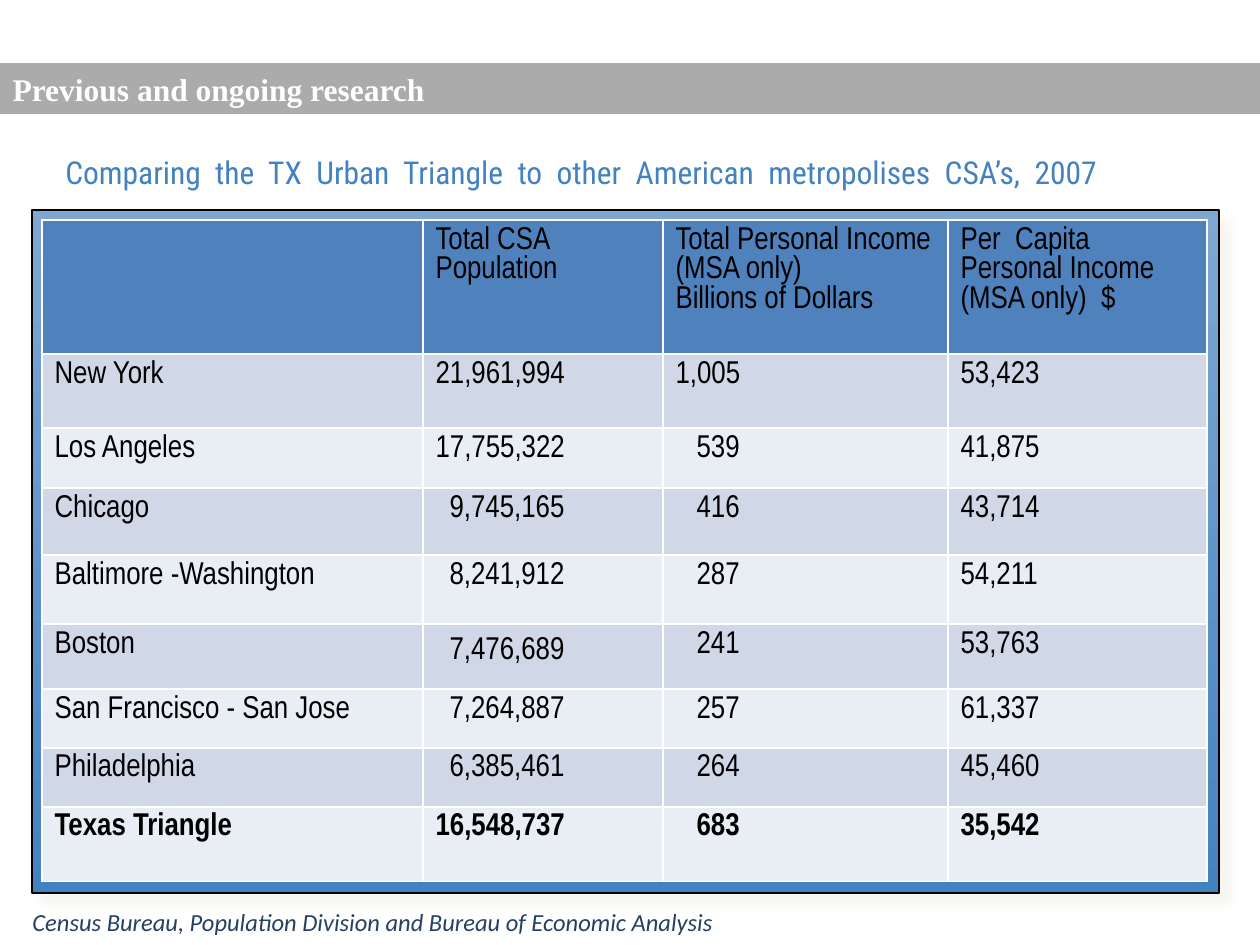
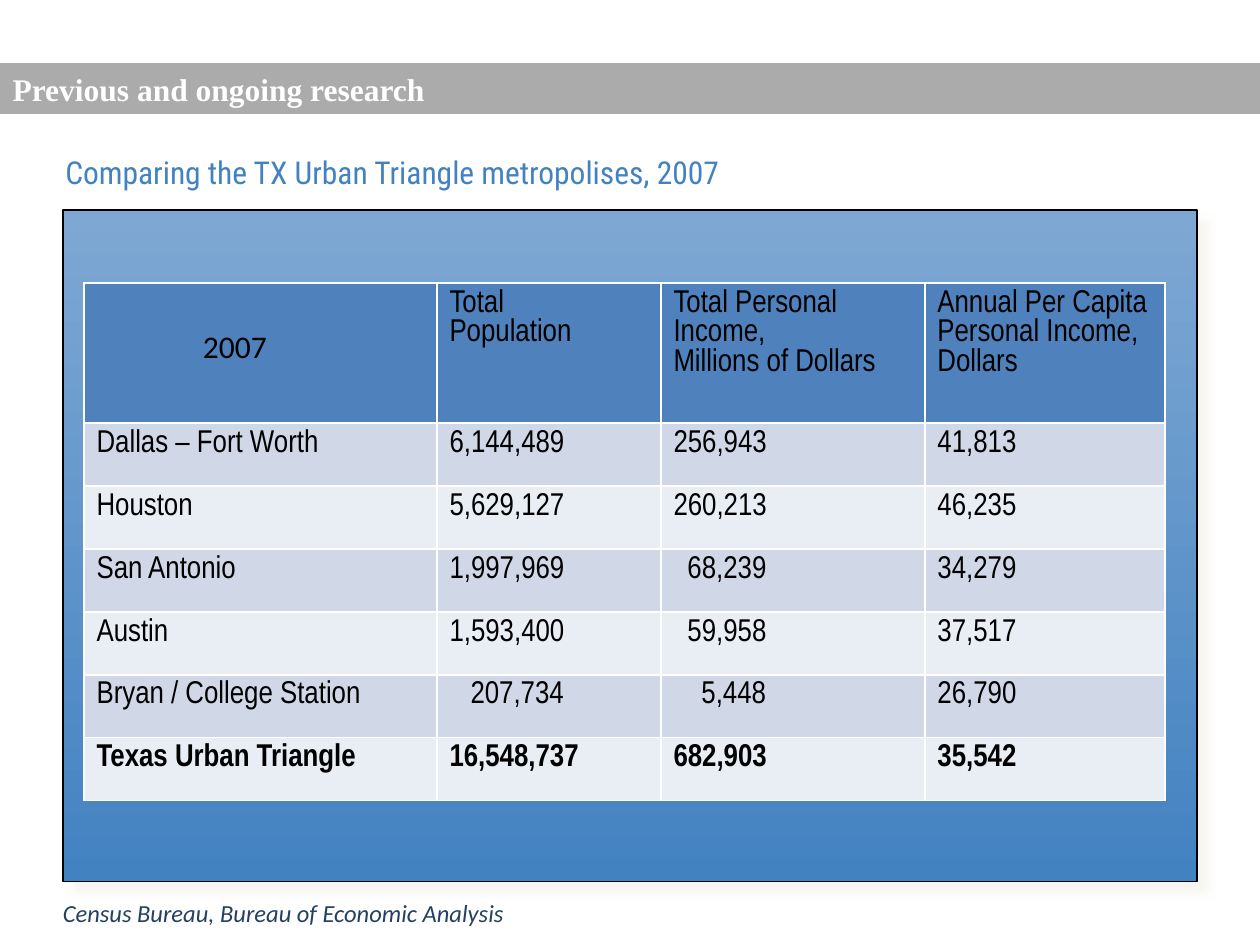
import dataclasses
import lxml.etree
import pptx
import pptx.dml.color
import pptx.enum.shapes
import pptx.enum.text
import pptx.oxml.ns
import pptx.util

EMU_PER_PX = 7257
qn = pptx.oxml.ns.qn


@dataclasses.dataclass(frozen=True)
class Theme:
    band: str = "808080"
    band_opacity: int = 66
    frame_top: str = "7EA8D3"
    accent: str = "4382C1"
    frame_shadow: str = "EEECE1"
    source: str = "254061"
    header: str = "4F81BD"
    rows: tuple = ("D0D8E8", "E9EDF4")
    light: str = "FFFFFF"
    dark: str = "000000"
    text_size: int = 18
    source_size: int = 14
    title_font: str = "Times New Roman"
    subtitle_font: str = "Roboto Condensed"
    table_font: str = "Arial Narrow"
    plain_font: str = "Calibri"


def px(length):
    return pptx.util.Emu(length * EMU_PER_PX)


def rgb(colour):
    return pptx.dml.color.RGBColor.from_string(colour)


def add_xml(parent, tag, **attributes):
    return lxml.etree.SubElement(parent, qn(tag), attributes)


def spaces_wide(number):
    return sum(1 if mark == "," else 2 for mark in number)


class SlideBuilder:
    def __init__(self, deck, theme):
        self.deck = deck
        self.theme = theme
        self.page = None

    def start(self, title):
        self.page = self.deck.slides.add_slide(self.deck.slide_layouts[5])
        band = self.page.shapes.title
        band.left, band.top, band.width, band.height = map(px, (0, 63, 1260, 51))
        band.fill.solid()
        band.fill.fore_color.rgb = rgb(self.theme.band)
        colour = band.fill._xPr.find(qn("a:solidFill"))[0]
        add_xml(colour, "a:alpha", val=str(self.theme.band_opacity * 1000))
        band.text_frame.text = title
        band.text_frame.auto_size = pptx.enum.text.MSO_AUTO_SIZE.NONE
        band.text_frame.vertical_anchor = pptx.enum.text.MSO_ANCHOR.MIDDLE
        self.format(band.text_frame, self.theme.title_font, self.theme.text_size,
                    self.theme.light, bold=True)

    def format(self, frame, font, size, colour, bold=False, italic=False, align="LEFT"):
        for para in frame.paragraphs:
            para.alignment = pptx.enum.text.PP_ALIGN[align]
            for span in para.runs:
                span.font.name = font
                span.font.size = pptx.util.Pt(size)
                span.font.bold = bold
                span.font.italic = italic
                span.font.color.rgb = rgb(colour)

    def frame(self, *bounds):
        panel = self.page.shapes.add_shape(
            pptx.enum.shapes.MSO_SHAPE.RECTANGLE, *map(px, bounds))
        panel.fill.gradient()
        panel.fill.gradient_angle = 270
        for stop, position, colour in zip(
                panel.fill.gradient_stops, (0, 1), (self.theme.frame_top, self.theme.accent)):
            stop.position = position
            stop.color.rgb = rgb(colour)
        panel.line.color.rgb = rgb(self.theme.dark)
        panel.line.width = pptx.util.Pt(0.75)
        panel.shadow.inherit = False
        effects = panel._element.spPr.find(qn("a:effectLst"))
        shadow = add_xml(effects, "a:outerShdw", blurRad=str(pptx.util.Pt(5)),
                         dist=str(pptx.util.Pt(8.5)), dir="2700000",
                         algn="tl", rotWithShape="0")
        colour = add_xml(shadow, "a:srgbClr", val=self.theme.frame_shadow)
        add_xml(colour, "a:alpha", val="50000")

    def text(self, words, bounds, *style, **options):
        box = self.page.shapes.add_textbox(*map(px, bounds))
        box.text_frame.word_wrap = True
        box.text_frame.text = words
        self.format(box.text_frame, *style, **options)

    def subtitle(self, words, width):
        self.text(words, (53, 147, width, 50), self.theme.subtitle_font,
                  self.theme.text_size, self.theme.accent)

    def source(self, words, *bounds):
        self.text(words, bounds, self.theme.plain_font, self.theme.source_size,
                  self.theme.source, italic=True, align="CENTER")

    def cell(self, cell, words, fill, bold=False, indent=0):
        properties = cell._tc.get_or_add_tcPr()
        for side in ("a:lnL", "a:lnR", "a:lnT", "a:lnB"):
            line = add_xml(properties, side, w=str(pptx.util.Pt(1)))
            add_xml(add_xml(line, "a:solidFill"), "a:srgbClr", val=self.theme.light)
        cell.fill.solid()
        cell.fill.fore_color.rgb = rgb(fill)
        cell.text_frame.text = words
        self.format(cell.text_frame, self.theme.table_font, self.theme.text_size,
                    self.theme.dark, bold=bold)
        if indent:
            margin = cell.text_frame.paragraphs[0]._p.get_or_add_pPr()
            margin.set("marL", str(px(indent)))
            margin.set("indent", "0")

    def table(self, left, top, widths, heights, records):
        table = self.page.shapes.add_table(
            len(heights), len(widths),
            *map(px, (left, top, sum(widths), sum(heights)))).table
        table.first_row = table.horz_banding = False
        for column, width in zip(table.columns, widths):
            column.width = px(width)
        for row, height in zip(table.rows, heights):
            row.height = px(height)
        for i, record in enumerate(records):
            fill = self.theme.rows[(i - 1) % 2] if i else self.theme.header
            for j, words in enumerate(record):
                missing = spaces_wide(records[1][j]) - spaces_wide(words) if i and j else 0
                self.cell(table.cell(i, j), words, fill, bold=i == len(records) - 1,
                          indent=7 * max(0, missing))
        return table


CSA_RECORDS = [
    ("", "Total CSA\nPopulation", "Total Personal Income (MSA only)\nBillions of Dollars",
     "Per  Capita Personal Income\n(MSA only)  $"),
    ("New York", "21,961,994", "1,005", "53,423"),
    ("Los Angeles", "17,755,322", "539", "41,875"),
    ("Chicago", "9,745,165", "416", "43,714"),
    ("Baltimore -Washington", "8,241,912", "287", "54,211"),
    ("Boston", "7,476,689", "241", "53,763"),
    ("San Francisco - San Jose", "7,264,887", "257", "61,337"),
    ("Philadelphia", "6,385,461", "264", "45,460"),
    ("Texas Triangle", "16,548,737", "683", "35,542"),
]

TRIANGLE_RECORDS = [
    ("2007", "Total\nPopulation", "Total Personal Income,\nMillions of Dollars",
     "Annual Per Capita Personal Income, Dollars"),
    ("Dallas – Fort Worth", "6,144,489", "256,943", "41,813"),
    ("Houston", "5,629,127", "260,213", "46,235"),
    ("San Antonio", "1,997,969", "68,239", "34,279"),
    ("Austin", "1,593,400", "59,958", "37,517"),
    ("Bryan / College Station", "207,734", "5,448", "26,790"),
    ("Texas Urban Triangle", "16,548,737", "682,903", "35,542"),
]

SECTION = "Previous and ongoing research"


def build_csa_comparison(builder):
    builder.start(SECTION)
    builder.frame(32, 210, 1187, 683)
    builder.subtitle("Comparing  the  TX  Urban  Triangle  to  other  American  "
                     "metropolises  CSA’s,  2007", 1092)
    builder.source("Census Bureau, Population Division and Bureau of Economic Analysis",
                   0, 901, 746, 43)
    table = builder.table(42, 220, (381, 240, 285, 259),
                          (134, 74, 60, 67, 69, 65, 59, 59, 75), CSA_RECORDS)
    table.cell(5, 1).margin_top = px(13)


def build_triangle_comparison(builder):
    builder.start(SECTION)
    builder.frame(63, 210, 1134, 672)
    builder.subtitle("Comparing the TX Urban Triangle metropolises, 2007", 756)
    table = builder.table(84, 283, (353, 224, 264, 240), (140,) + (63,) * 6,
                          TRIANGLE_RECORDS)
    year = table.cell(0, 0)
    year.margin_left = px(119)
    year.margin_top = px(45)
    year.text_frame.paragraphs[0].runs[0].font.name = builder.theme.plain_font
    builder.source("Census Bureau, Bureau of Economic Analysis", 42, 892, 483, 43)


def main():
    deck = pptx.Presentation()
    deck.slide_width = px(1260)
    deck.slide_height = px(945)
    builder = SlideBuilder(deck, Theme())
    build_csa_comparison(builder)
    build_triangle_comparison(builder)
    deck.save("out.pptx")


if __name__ == "__main__":
    main()
